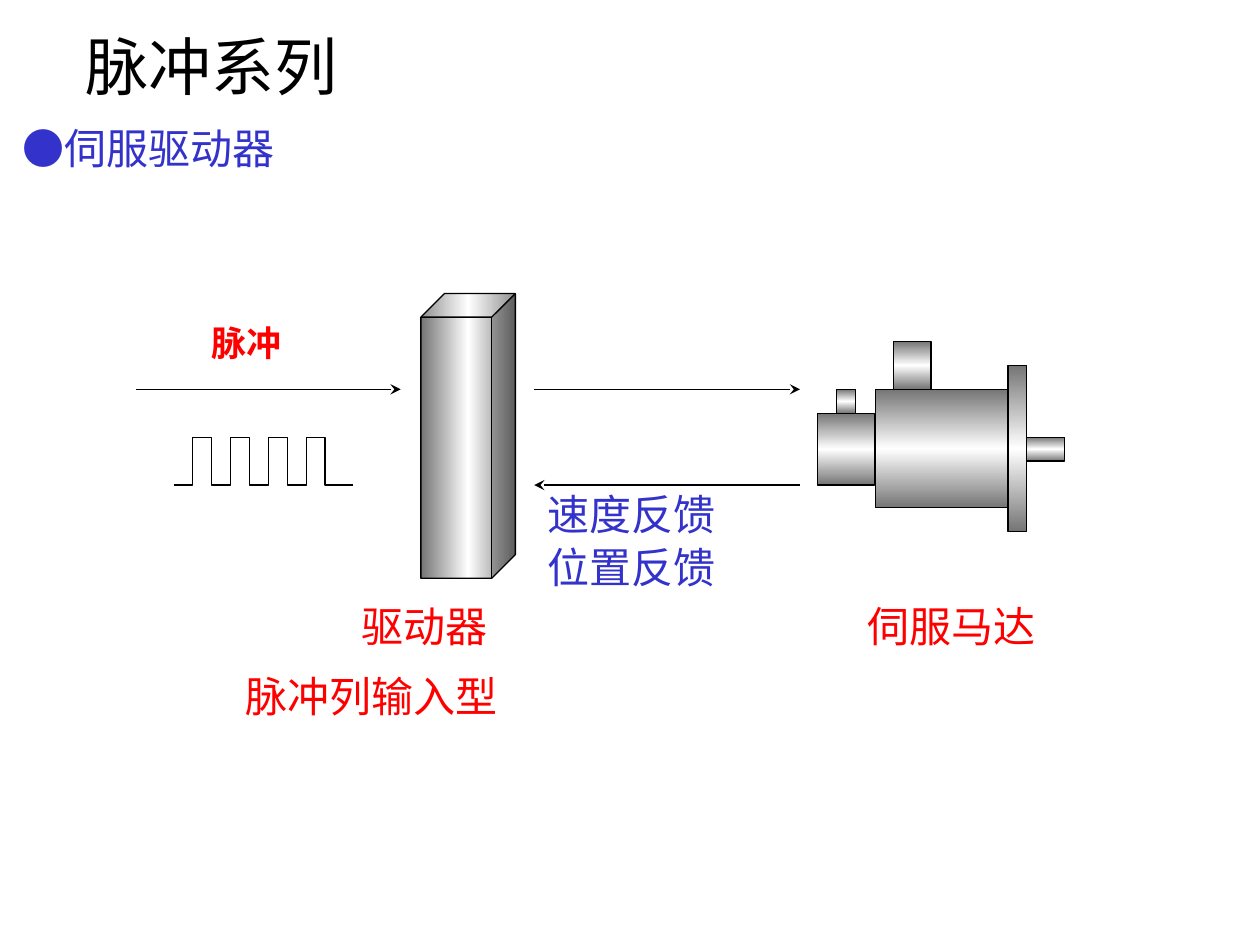
from copy import deepcopy

from pptx import Presentation
from pptx import util as u
from pptx.dml.color import RGBColor
from pptx.enum import shapes, text
from pptx.oxml import ns
from pptx.oxml import xmlchemy as xml

BLACK = RGBColor(0x00, 0x00, 0x00)
BLUE = RGBColor(0x33, 0x33, 0xCC)
RED = RGBColor(0xFF, 0x00, 0x00)
GREY = RGBColor(0x75, 0x75, 0x75)
WHITE = RGBColor(0xFF, 0xFF, 0xFF)


class Sketch:
    """Draws labels, metal parts, arrows and waves on one slide in one style."""

    font = "Noto Sans CJK JP"
    width = u.Pt(0.75)

    def __init__(self, slide):
        self.slide = slide
        self.shapes = slide.shapes

    def ink(self, line):
        line.color.rgb = BLACK
        line.width = self.width

    def label(self, words, x, y, w, h, color, size=24, bold=False):
        box = self.shapes.add_textbox(*map(u.Inches, (x, y, w, h)))
        frame = box.text_frame
        frame.text = words
        frame.word_wrap = True
        frame.auto_size = text.MSO_AUTO_SIZE.SHAPE_TO_FIT_TEXT
        font = frame.paragraphs[0].runs[0].font
        font.name = self.font
        font.size = u.Pt(size)
        font.bold = bold
        font.color.rgb = color
        east = xml.OxmlElement("a:ea")
        east.set("typeface", self.font)
        font._element.find(ns.qn("a:latin")).addnext(east)

    def metal(self, x, y, w, h, kind=shapes.MSO_SHAPE.RECTANGLE, angle=90):
        part = self.shapes.add_shape(kind, *map(u.Inches, (x, y, w, h)))
        part.shadow.inherit = False
        part.fill.gradient()
        part.fill.gradient_angle = angle
        stops = part._element.spPr.find(".//" + ns.qn("a:gsLst"))
        stops.insert(1, deepcopy(stops[0]))
        shades = zip(part.fill.gradient_stops, (0, 0.5, 1), (GREY, WHITE, GREY))
        for stop, place, color in shades:
            stop.position = place
            stop.color.rgb = color
        self.ink(part.line)

    def arrow(self, start, end, y):
        ends = map(u.Inches, (start, y, end, y))
        line = self.shapes.add_connector(shapes.MSO_CONNECTOR.STRAIGHT, *ends)
        self.ink(line.line)
        head = xml.OxmlElement("a:tailEnd")
        head.set("type", "stealth")
        line.line._get_or_add_ln().append(head)
        line._element.spPr.append(xml.OxmlElement("a:effectLst"))

    def wave(self, start, end, first, step, count, high, low):
        points = [(start, low)]
        for rise in (first + 2 * step * i for i in range(count)):
            fall = rise + step
            points += [(rise, low), (rise, high), (fall, high), (fall, low)]
        points.append((end, low))
        points = [(u.Inches(x), u.Inches(y)) for x, y in points]
        path = self.shapes.build_freeform(*points[0])
        path.add_line_segments(points[1:], close=False)
        pulse = path.convert_to_shape()
        pulse.shadow.inherit = False
        pulse.fill.background()
        self.ink(pulse.line)


def main():
    deck = Presentation()
    deck.slide_width, deck.slide_height = u.Inches(10), u.Inches(7.5)
    art = Sketch(deck.slides.add_slide(deck.slide_layouts[6]))

    art.label("脉冲系列", 0.58, 0.17, 4, 0.7, BLACK, size=36)
    art.label("●伺服驱动器", 0.08, 0.92, 3, 0.5, BLUE)

    art.wave(1.38, 2.8, first=1.53, step=0.15, count=4, high=3.47, low=3.85)
    art.metal(3.34, 2.33, 0.75, 2.26, shapes.MSO_SHAPE.CUBE, angle=0)

    motor = [
        (6.95, 3.09, 1.05, 0.94),
        (6.49, 3.28, 0.45, 0.57),
        (8, 2.9, 0.15, 1.32),
        (8.15, 3.47, 0.3, 0.19),
        (6.64, 3.09, 0.15, 0.19),
        (7.09, 2.71, 0.3, 0.38),
    ]
    for part in motor:
        art.metal(*part)

    for start, end, y in [(1.08, 3.18, 3.09), (4.24, 6.35, 3.09), (6.35, 4.24, 3.85)]:
        art.arrow(start, end, y)

    art.label("驱动器", 2.77, 4.72, 2.5, 0.5, RED)
    art.label("伺服马达", 6.79, 4.72, 2.29, 0.5, RED)
    art.label("脉冲", 1.58, 2.5, 1.55, 0.44, RED, size=20, bold=True)
    art.label("脉冲列输入型", 1.85, 5.27, 3.67, 0.5, RED)
    art.label("速度反馈", 4.25, 3.83, 2.42, 0.5, BLUE)
    art.label("位置反馈", 4.25, 4.25, 2.42, 0.5, BLUE)

    deck.save("out.pptx")


if __name__ == "__main__":
    main()
